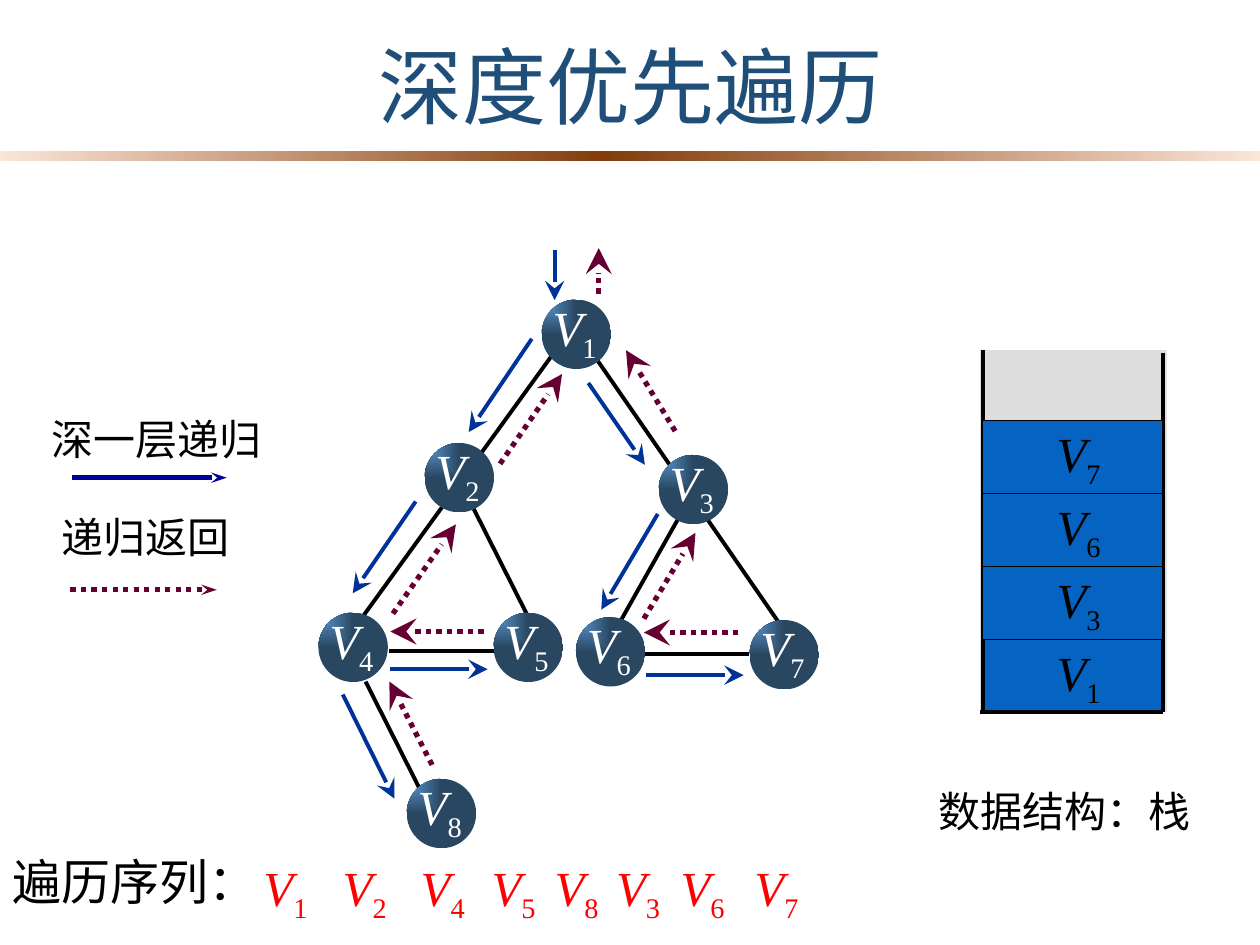
from dataclasses import dataclass

from pptx import Presentation
from pptx.dml.color import RGBColor
from pptx.enum.dml import MSO_LINE
from pptx.enum.shapes import MSO_CONNECTOR, MSO_SHAPE
from pptx.enum.text import MSO_ANCHOR, PP_ALIGN
from pptx.oxml import parse_xml
from pptx.oxml.ns import nsdecls, qn
from pptx.util import Cm, Pt

RECT, OVAL = MSO_SHAPE.RECTANGLE, MSO_SHAPE.OVAL
STRAIGHT = MSO_CONNECTOR.STRAIGHT
DOTS = MSO_LINE.ROUND_DOT
TOP, MIDDLE = MSO_ANCHOR.TOP, MSO_ANCHOR.MIDDLE
LEFT, CENTER = PP_ALIGN.LEFT, PP_ALIGN.CENTER

SIDEWAYS = '<a:lin ang="0" scaled="0"/>'
CORNER = '<a:path path="rect"><a:fillToRect r="100000" b="100000"/></a:path>'


@dataclass(frozen=True)
class Theme:
    title: str = "1F4E79"
    black: str = "000000"
    white: str = "FFFFFF"
    red: str = "FF0000"
    call: str = "003399"
    key: str = "000099"
    back: str = "660033"
    cell: str = "0563C1"
    free: str = "DDDDDD"
    bar: tuple = ((0, "FBE5D6"), (48, "843C0B"), (100, "FBE5D6"))
    ball: tuple = ((0, "5B9BD5"), (100, "2A4762"))
    sans: str = "Arial"
    serif: str = "Times New Roman"
    huge: int = 48
    big: int = 28
    small: int = 24
    thin: float = 0.75
    line: float = 2.25
    thick: float = 3


THEME = Theme()
TIGHT = (0.05, 0.03, 0.05, 0.03)
PLAIN = (0.25, 0.13, 0.25, 0.13)


def write(frame, text, sub="", size=THEME.big, color=THEME.black,
          font=THEME.serif, italic=False, align=LEFT, anchor=TOP, inset=PLAIN):
    """Fill a text frame with one line, ending in an optional subscript."""
    frame.word_wrap = True
    frame.vertical_anchor = anchor
    (frame.margin_left, frame.margin_top,
     frame.margin_right, frame.margin_bottom) = map(Cm, inset)
    line = frame.paragraphs[0]
    line.alignment = align
    for part, slant in ((text, italic), (sub, False)):
        if not part:
            continue
        run = line.add_run()
        run.text = part
        run.font.name, run.font.size = font, Pt(size)
        run.font.italic = slant
        run.font.color.rgb = RGBColor.from_string(color)
        if part is sub:
            run._r.get_or_add_rPr().set("baseline", "-25000")


class Board:
    def __init__(self, slide, theme):
        self.slide, self.theme = slide, theme

    def shape(self, kind, x, y, w, h, fill=None, border=None):
        item = self.slide.shapes.add_shape(kind, Cm(x), Cm(y), Cm(w), Cm(h))
        item.shadow.inherit = False
        if fill:
            item.fill.solid()
            item.fill.fore_color.rgb = RGBColor.from_string(fill)
        if border:
            item.line.color.rgb = RGBColor.from_string(border)
            item.line.width = Pt(self.theme.thin)
        else:
            item.line.fill.background()
        return item

    def blend(self, item, stops, course):
        """Give a shape a gradient along the given course."""
        marks = "".join(
            f'<a:gs pos="{at * 1000}"><a:srgbClr val="{color}"/></a:gs>'
            for at, color in stops)
        item.fill.gradient()
        props = item._element.spPr
        props.replace(props.find(qn("a:gradFill")), parse_xml(
            f'<a:gradFill {nsdecls("a")} rotWithShape="1">'
            f'<a:gsLst>{marks}</a:gsLst>{course}</a:gradFill>'))

    def text(self, x, y, w, h, text, **style):
        box = self.slide.shapes.add_textbox(Cm(x), Cm(y), Cm(w), Cm(h))
        write(box.text_frame, text, **style)
        return box

    def line(self, ends, color=THEME.black, width=THEME.line, dash=None, head=None):
        """Draw a line; head is the width and length of its arrowhead."""
        item = self.slide.shapes.add_connector(STRAIGHT, *map(Cm, ends))
        item.line.color.rgb = RGBColor.from_string(color)
        item.line.width = Pt(width)
        if dash:
            item.line.dash_style = dash
        if head:
            item.line._get_or_add_ln().append(parse_xml(
                f'<a:tailEnd {nsdecls("a")} type="stealth" '
                f'w="{head[0]}" len="{head[1]}"/>'))
        item._element.spPr.append(parse_xml(f'<a:effectLst {nsdecls("a")}/>'))

    def node(self, sub, x, y, size=1.4):
        """Draw a vertex centred on x, y."""
        left, top = x - size / 2, y - size / 2
        ball = self.shape(OVAL, left, top, size, size)
        self.blend(ball, self.theme.ball, CORNER)
        label = self.text(left + 0.19, top - 0.13, 1.3, 1.65, "V", sub=sub,
                          italic=True, color=self.theme.white,
                          inset=(0.03, 0.08, 0, 0.03))
        self.slide.shapes.add_group_shape([ball, label])

    def cell(self, sub, x, y, w, h):
        item = self.shape(RECT, x, y, w, h, self.theme.cell, self.theme.black)
        write(item.text_frame, "V", sub=sub, italic=True, anchor=MIDDLE,
              inset=(1.49, 0.13, 0.25, 0.13))


NODES = {"1": (11.62, 6.74), "2": (9.26, 9.63), "3": (13.98, 9.87),
         "4": (7.12, 13.05), "5": (10.65, 13.05), "6": (12.31, 13.14),
         "7": (15.81, 13.2), "8": (8.9, 16.4)}
EDGES = [(9.98, 13.13, 7.85, 13.13), (12.04, 7.26, 15.7, 12.55),
         (11.13, 7.16, 7.32, 12.42), (9.55, 10.26, 10.64, 12.42),
         (13.67, 10.46, 12.52, 12.5), (15.09, 13.18, 12.98, 13.18),
         (7.37, 13.74, 8.46, 15.9)]
CALLS = [(11.18, 5.03, 11.18, 6.05), (10.72, 6.83, 9.45, 8.71),
         (8.38, 10.11, 7.11, 11.96), (7.87, 13.49, 9.83, 13.49),
         (6.91, 14, 7.95, 16.1), (11.86, 7.72, 13, 9.37),
         (13.26, 10.36, 12.12, 12.29), (13.03, 13.61, 14.99, 13.61)]
BACKS = [(9.75, 12.73, 7.87, 12.73), (8.71, 15.42, 7.85, 13.74),
         (7.92, 12.37, 9.19, 10.57), (10.08, 9.35, 11.33, 7.54),
         (14.88, 12.75, 12.98, 12.75), (12.98, 12.47, 14.02, 10.74),
         (13.61, 8.69, 12.62, 7.06), (12.07, 5.92, 12.07, 5)]
ORDER = {"1": 5.26, "2": 6.86, "4": 8.43, "5": 9.86,
         "8": 11.13, "3": 12.37, "6": 13.67, "7": 15.16}


def heading(board):
    bar = board.shape(RECT, 0, 3.05, 25.4, 0.2)
    board.blend(bar, THEME.bar, SIDEWAYS)
    board.text(2.29, 0.48, 20.85, 2.46, "深度优先遍历", size=THEME.huge,
               color=THEME.title, font=THEME.sans, align=CENTER, anchor=MIDDLE)


def legend(board):
    small = ("sm", "med")
    board.text(0.99, 8.31, 4.6, 1.37, "深一层递归", size=THEME.small, inset=TIGHT)
    board.line((1.45, 9.63, 4.57, 9.63), THEME.key, THEME.thick, head=small)
    board.text(1.19, 10.29, 4.24, 1.35, "递归返回", size=THEME.small, inset=TIGHT)
    board.line((1.42, 11.89, 4.37, 11.89), THEME.back, THEME.thick, DOTS, small)


def tree(board):
    large = ("lg", "lg")
    for ends in EDGES:
        board.line(ends)
    for sub, spot in NODES.items():
        board.node(sub, *spot)
    for ends in CALLS:
        board.line(ends, THEME.call, head=large)
    for ends in BACKS:
        board.line(ends, THEME.back, THEME.thick, DOTS, large)


def stack(board):
    left, width, floor, step = 19.81, 3.63, 14.36, 1.47
    right = left + width
    board.shape(RECT, 19.76, 7.06, 3.76, 7.29, THEME.free)
    for level, sub in enumerate("1367", start=1):
        board.cell(sub, left, floor - level * step, width, step)
        if level == 1:
            for ends in ((left, 7.06, left, floor), (right, 7.11, right, floor),
                         (left - 0.05, floor, right, floor)):
                board.line(ends)
    board.text(18.67, 15.7, 6.05, 1.27, "数据结构：栈",
               size=THEME.small, font=THEME.sans)


def order(board):
    board.text(0, 17.04, 6.05, 1.45, "遍历序列：", font=THEME.sans)
    for sub, x in ORDER.items():
        board.text(x, 17.25, 1.57, 1.24, "V", sub=sub, italic=True,
                   color=THEME.red, inset=TIGHT)


def main():
    deck = Presentation()
    deck.slide_width, deck.slide_height = Cm(25.4), Cm(19.05)
    board = Board(deck.slides.add_slide(deck.slide_layouts[6]), THEME)
    for draw in (heading, legend, tree, stack, order):
        draw(board)
    deck.save("out.pptx")


if __name__ == "__main__":
    main()
